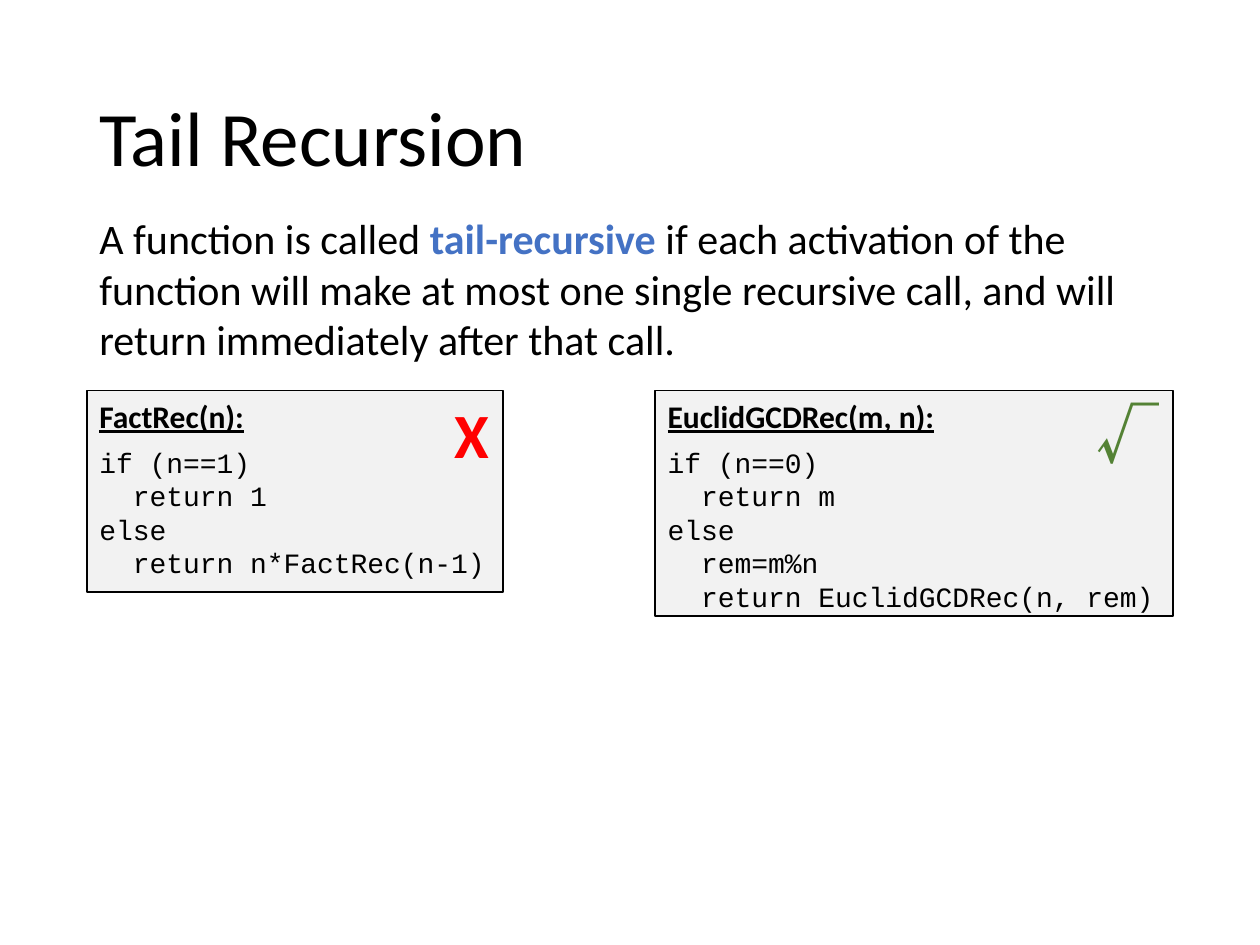
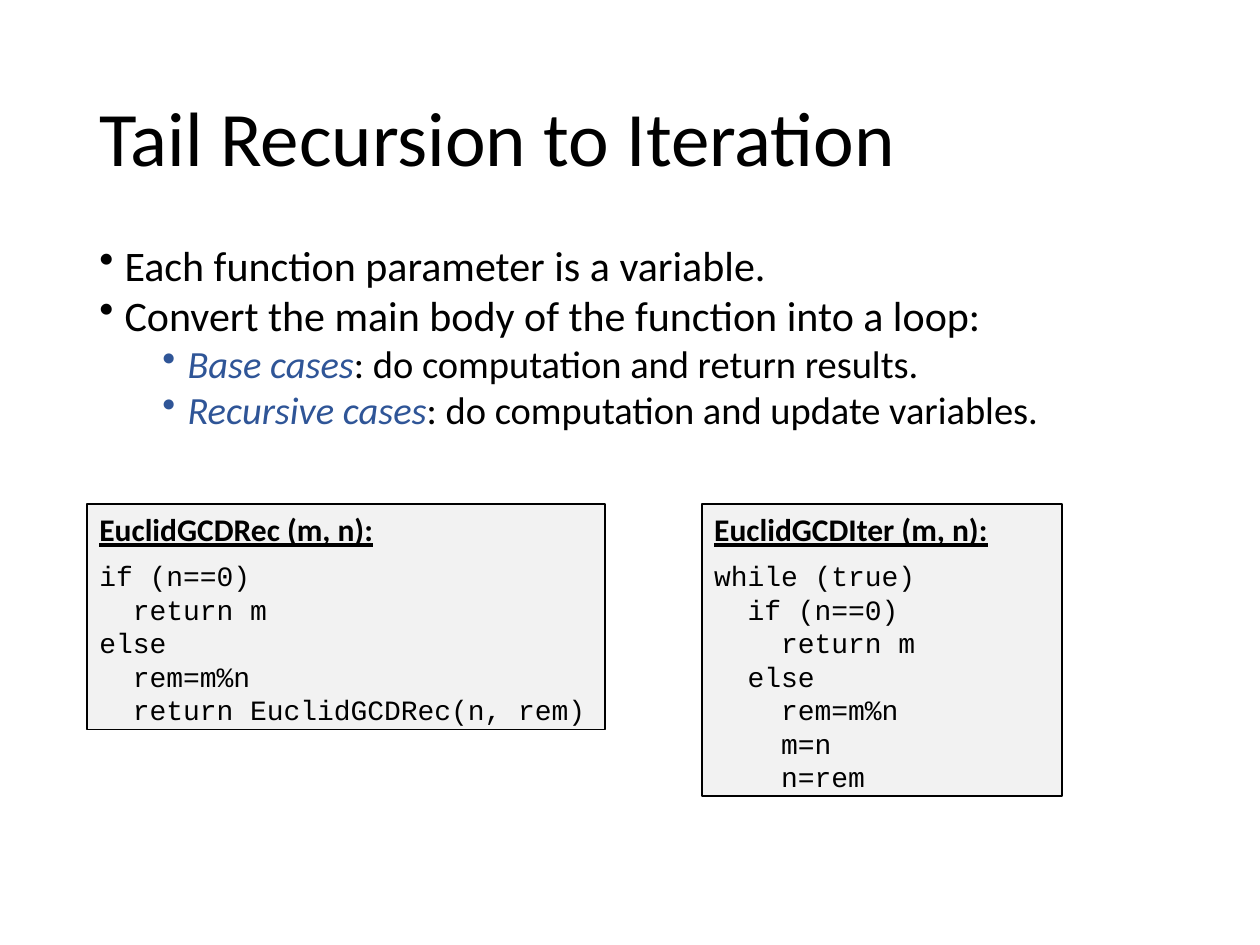
from lxml.etree import SubElement
from pptx import Presentation
from pptx.dml.color import RGBColor
from pptx.enum.shapes import MSO_SHAPE
from pptx.enum.text import MSO_ANCHOR, PP_ALIGN
from pptx.oxml.ns import qn
from pptx.util import Inches, Pt

BLACK, RED, GREEN = "000000", "FF0000", "548235"
BLUE, DARK_BLUE, PANEL = "4472C4", "2F5597", "F2F2F2"
BODY_FONT, CODE_FONT, SYMBOL_FONT = "Calibri", "Courier New", "Noto Sans CJK SC"
LEFT, WIDTH = 0.69, 8.62
TITLE_BOX = (LEFT, 0.4, WIDTH, 1.45)

EUCLID_REC = ["if (n==0)", "  return m", "else", "  rem=m%n",
              "  return EuclidGCDRec(n, rem)"]
FACT_REC = ["if (n==1)", "  return 1", "else", "  return n*FactRec(n-1)"]
EUCLID_ITER = ["while (true)", "  if (n==0)", "    return m", "  else",
               "    rem=m%n", "    m=n", "    n=rem"]


def color(hex_value):
    """Turn a hex string into a colour."""
    return RGBColor.from_string(hex_value)


def set_font(font, size, name=BODY_FONT, hex_value=BLACK, bold=False):
    """Apply size, typeface, colour and weight to a font."""
    font.size = Pt(size)
    font.name = name
    font.color.rgb = color(hex_value)
    font.bold = bold


def add_text_frame(slide, box, wrap=True):
    """Add a text box and return its text frame."""
    frame = slide.shapes.add_textbox(*map(Inches, box)).text_frame
    frame.word_wrap = wrap
    return frame


def add_paragraphs(frame, count):
    """Return the first paragraph of a frame followed by count - 1 new ones."""
    return [frame.paragraphs[0]] + [frame.add_paragraph() for _ in range(count - 1)]


def add_run(paragraph, text):
    """Add a run and return its font."""
    run = paragraph.add_run()
    run.text = text
    return run.font


def add_title(slide, text, box=TITLE_BOX):
    """Place the slide title, centred vertically in its box."""
    frame = add_text_frame(slide, box)
    frame.vertical_anchor = MSO_ANCHOR.MIDDLE
    title = frame.paragraphs[0]
    title.text = text
    title.line_spacing = 0.9
    set_font(title.font, 44)


def add_definition(slide, box):
    """Place the definition with its term highlighted."""
    definition = add_text_frame(slide, box).paragraphs[0]
    set_font(definition.font, 24)
    add_run(definition, "A function is called ")
    term = add_run(definition, "tail-recursive")
    term.bold = True
    term.color.rgb = color(BLUE)
    add_run(definition, " if each activation of the function will make at most one "
                        "single recursive call, and will return immediately after that call.")


def add_bullet(paragraph, margin, hanging=0.2):
    """Give a paragraph a hanging round bullet."""
    properties = paragraph._p.get_or_add_pPr()
    properties.set("marL", str(Inches(margin)))
    properties.set("indent", str(-Inches(hanging)))
    bullet = properties.makeelement(qn("a:buChar"), {"char": "•"})
    properties.insert_element_before(bullet, "a:tabLst", "a:defRPr", "a:extLst")


def add_steps(slide, box):
    """Place the conversion steps, with cases one level deeper."""
    steps = [("", "Each function parameter is a variable."),
             ("", "Convert the main body of the function into a loop:"),
             ("Base cases", ": do computation and return results."),
             ("Recursive cases", ": do computation and update variables.")]
    paragraphs = add_paragraphs(add_text_frame(slide, box), len(steps))
    for paragraph, (case, text) in zip(paragraphs, steps):
        set_font(paragraph.font, 22 if case else 24)
        add_bullet(paragraph, 0.7 if case else 0.2)
        if case:
            paragraph.level = 1
            case_font = add_run(paragraph, case)
            case_font.italic = True
            case_font.color.rgb = color(DARK_BLUE)
        add_run(paragraph, text)


def add_code_panel(slide, box, heading, lines):
    """Place a framed listing under an underlined heading."""
    panel = slide.shapes.add_shape(MSO_SHAPE.RECTANGLE, *map(Inches, box))
    panel.shadow.inherit = False
    panel.fill.solid()
    panel.fill.fore_color.rgb = color(PANEL)
    panel.line.color.rgb = color(BLACK)
    panel.line.width = Pt(1)
    frame = panel.text_frame
    frame.word_wrap = True
    frame.vertical_anchor = MSO_ANCHOR.TOP
    header, *code = add_paragraphs(frame, len(lines) + 1)
    header.text = heading
    header.alignment = PP_ALIGN.LEFT
    header.space_after = Pt(6)
    set_font(header.font, 18, bold=True)
    header.font.underline = True
    for paragraph, line in zip(code, lines):
        paragraph.text = line
        paragraph.alignment = PP_ALIGN.LEFT
        set_font(paragraph.font, 16, CODE_FONT)


def add_verdict(slide, box, mark, hex_value, font_name):
    """Place a large mark in the corner of a listing."""
    verdict = add_text_frame(slide, box, wrap=False).paragraphs[0]
    verdict.text = mark
    set_font(verdict.font, 36, font_name, hex_value, bold=True)
    defaults = verdict._p.pPr.find(qn("a:defRPr"))
    SubElement(defaults, qn("a:ea")).set("typeface", font_name)


def build_definition_slide(slide):
    """Build the slide that defines tail recursion."""
    add_title(slide, "Tail Recursion")
    add_definition(slide, (LEFT, 1.64, WIDTH, 1.31))
    add_code_panel(slide, (LEFT, 3.1, 3.3, 1.6), "FactRec(n):", FACT_REC)
    add_verdict(slide, (3.51, 3.09, 0.48, 0.71), "X", RED, BODY_FONT)
    add_code_panel(slide, (5.2, 3.1, 4.11, 1.79), "EuclidGCDRec(m, n):", EUCLID_REC)
    add_verdict(slide, (8.6, 3.09, 0.71, 0.71), "√", GREEN, SYMBOL_FONT)


def build_iteration_slide(slide):
    """Build the slide that turns tail recursion into a loop."""
    add_title(slide, "Tail Recursion to Iteration")
    add_steps(slide, (LEFT, 1.85, WIDTH, 1.65))
    add_code_panel(slide, (LEFT, 4, 4.11, 1.79), "EuclidGCDRec (m, n):", EUCLID_REC)
    add_code_panel(slide, (5.57, 4, 2.86, 2.32), "EuclidGCDIter (m, n):", EUCLID_ITER)


presentation = Presentation()
presentation.slide_width = Inches(10)
presentation.slide_height = Inches(7.5)
for build_slide in (build_definition_slide, build_iteration_slide):
    build_slide(presentation.slides.add_slide(presentation.slide_layouts[6]))
presentation.save("out.pptx")
